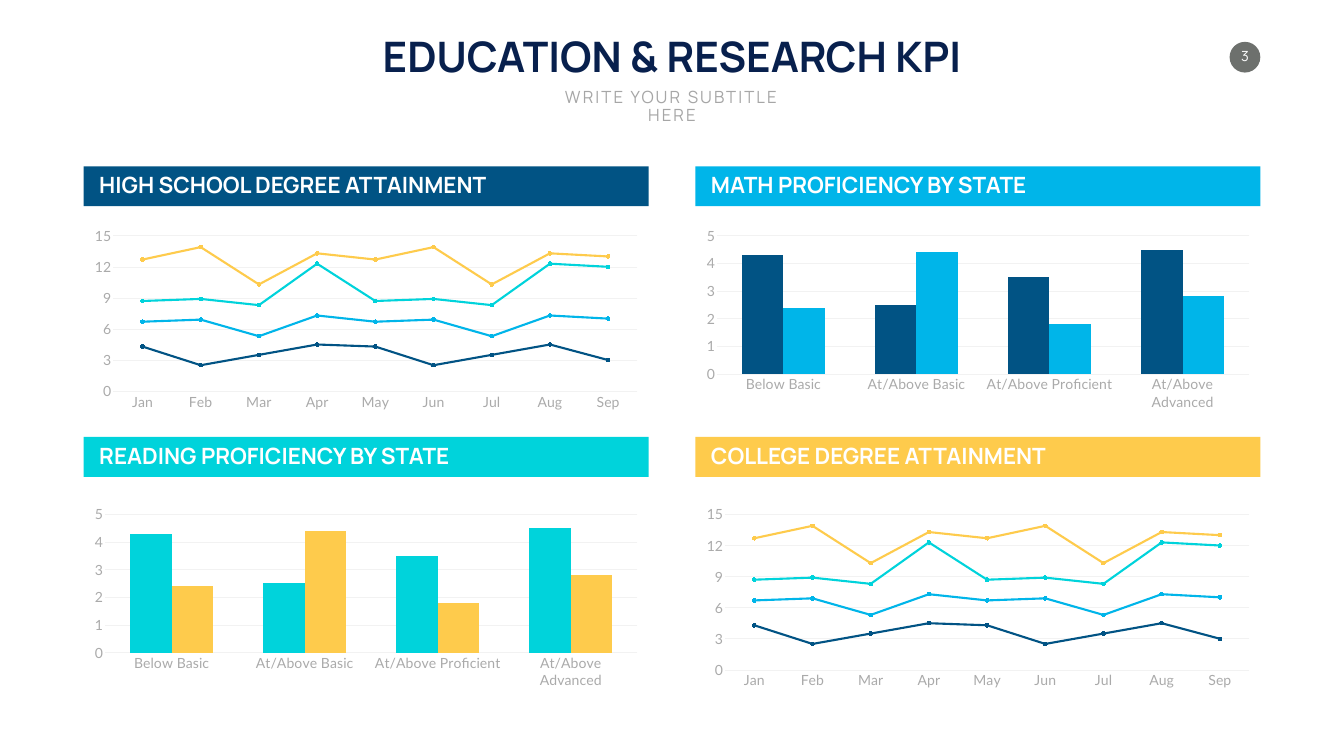
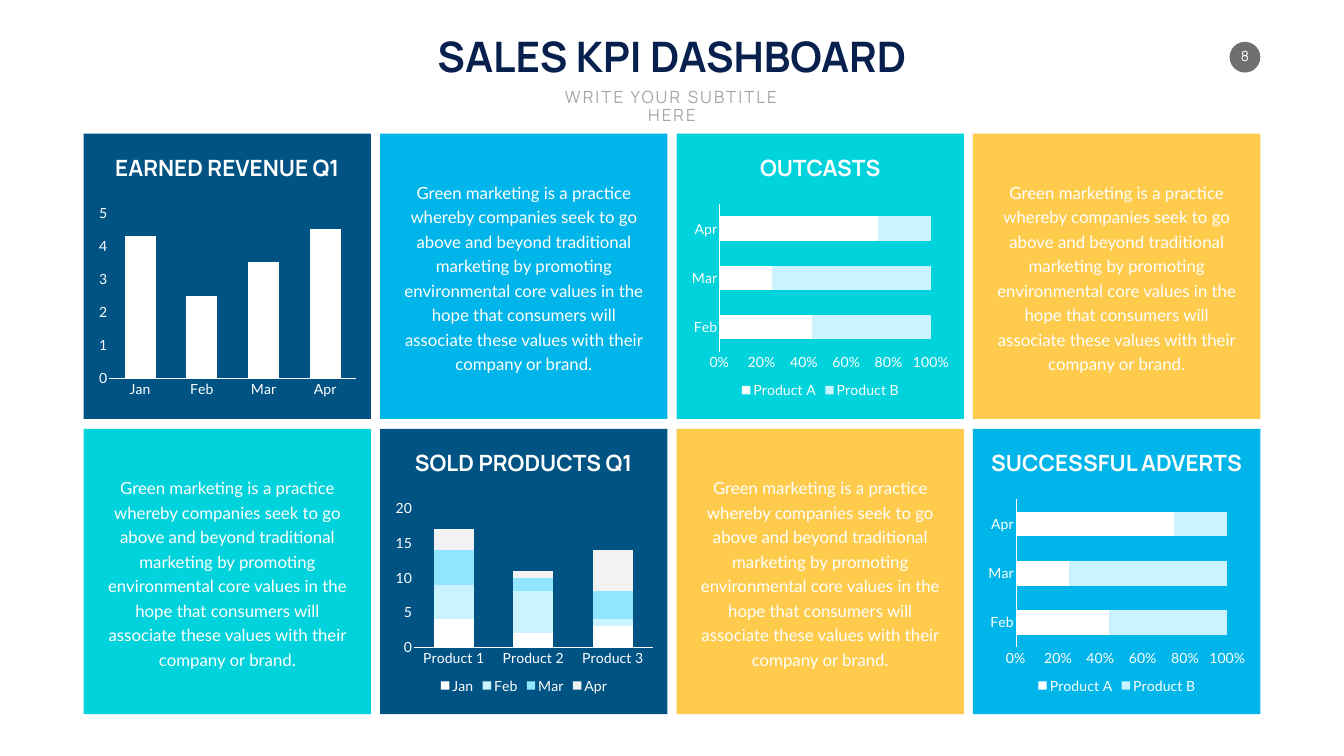
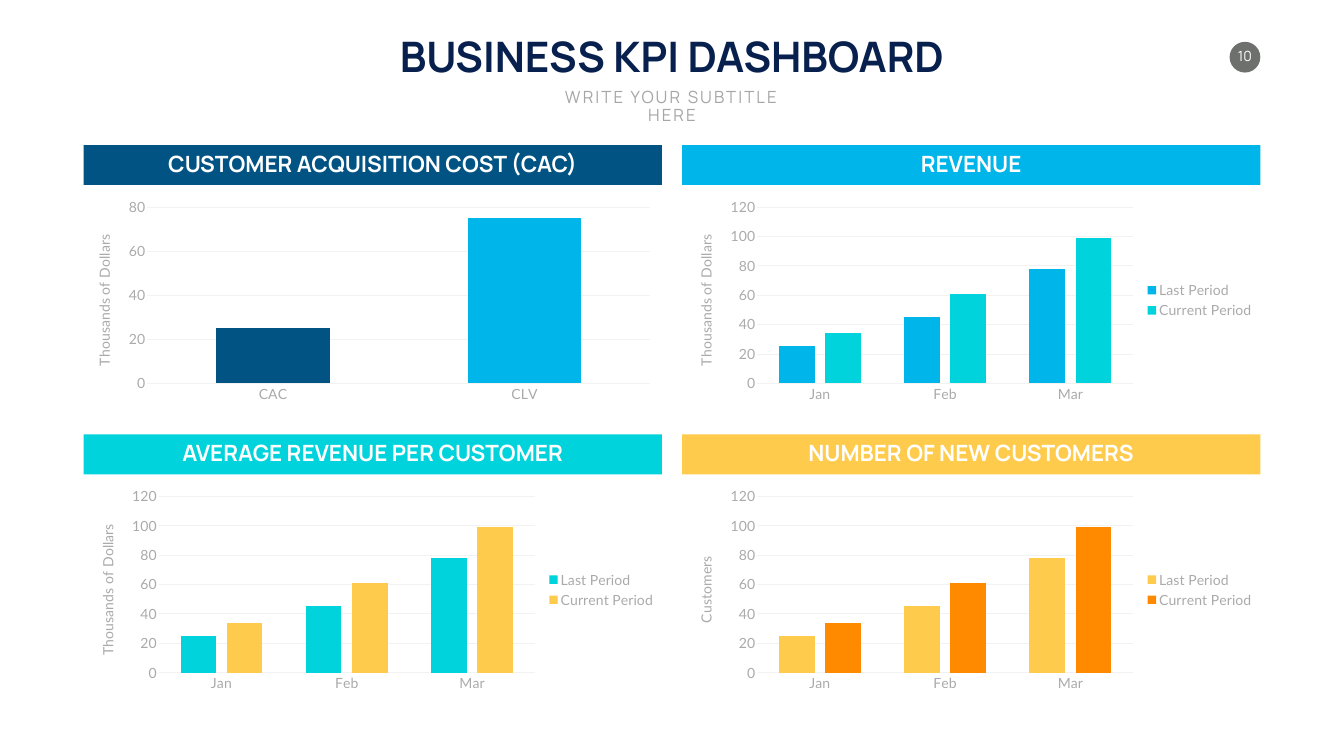
from dataclasses import dataclass

import pptx
import pptx.chart.data
import pptx.dml.color
import pptx.enum.chart
import pptx.enum.shapes
import pptx.enum.text
import pptx.oxml
import pptx.oxml.ns
import pptx.util

SLIDE_W, SLIDE_H = 26.66, 15
MARGIN = 1.66
BAND_H = 0.79
COLORS = {
    "navy": "015384", "sky": "00B5E9", "teal": "00D3DB", "gold": "FECB4C",
    "orange": "FF8A00", "white": "FFFFFF", "ice": "C8F3FF", "pale": "90E6FF",
    "grid": "F2F2F2", "label": "AAAAAA", "subtitle": "A6A6A6",
    "title": "08204D", "badge": "6D706D",
}
HEAD_FONT, BODY_FONT = "Manrope", "Lato"
XL = pptx.enum.chart.XL_CHART_TYPE
LEGEND = pptx.enum.chart.XL_LEGEND_POSITION
ALIGN = pptx.enum.text.PP_ALIGN
ANCHOR = pptx.enum.text.MSO_ANCHOR
SHAPE = pptx.enum.shapes.MSO_SHAPE

MONTHS = ["Jan", "Feb", "Mar", "Apr", "May", "Jun", "Jul", "Aug", "Sep"]
GREEN_MARKETING = (
    "Green marketing is a practice whereby companies seek to go above and beyond "
    "traditional marketing by promoting environmental core values in the hope that "
    "consumers will associate these values with their company or brand.")


@dataclass(frozen=True)
class Box:
    left: float
    top: float
    width: float
    height: float

    def within(self, left, top, width, height):
        """Box placed relative to this one."""
        return Box(self.left + left, self.top + top, width, height)

    def emu(self):
        return [pptx.util.Inches(v) for v in (self.left, self.top, self.width, self.height)]


PAGE = Box(0, 0, SLIDE_W, SLIDE_H)


def grid(cols, col_gap, top, height, row_gap):
    """Two rows of equal cells between the side margins."""
    width = (SLIDE_W - 2 * MARGIN - (cols - 1) * col_gap) / cols
    return [Box(MARGIN + col * (width + col_gap), top + row * (height + row_gap), width, height)
            for row in range(2) for col in range(cols)]


def rgb(name):
    return pptx.dml.color.RGBColor.from_string(COLORS[name])


def set_all(target, **values):
    for name, value in values.items():
        setattr(target, name, value)


def style_font(font, size, color, face, bold=False):
    set_all(font, size=pptx.util.Pt(size), name=face, bold=bold)
    font.color.rgb = rgb(color)


def style_line(line, color, width=0.75):
    line.color.rgb = rgb(color)
    line.width = pptx.util.Pt(width)


def paint(fmt, color):
    fmt.fill.solid()
    fmt.fill.fore_color.rgb = rgb(color)


def write(frame, text, size, color, face=HEAD_FONT, bold=False, align=ALIGN.CENTER,
          anchor=ANCHOR.MIDDLE, spacing=0.9, tracking=None, inset=None):
    set_all(frame, word_wrap=True, auto_size=pptx.enum.text.MSO_AUTO_SIZE.NONE,
            vertical_anchor=anchor)
    if inset is not None:
        set_all(frame, margin_left=inset, margin_right=inset, margin_top=inset,
                margin_bottom=inset)
    paragraph = frame.paragraphs[0]
    set_all(paragraph, alignment=align, line_spacing=spacing, space_before=pptx.util.Pt(0))
    run = paragraph.add_run()
    run.text = text
    style_font(run.font, size, color, face, bold)
    if tracking:
        run.font._element.set("spc", str(tracking * 100))


def add_text(slide, box, text, size, color, **style):
    write(slide.shapes.add_textbox(*box.emu()).text_frame, text, size, color, **style)


def add_block(slide, box, color, preset=SHAPE.RECTANGLE):
    block = slide.shapes.add_shape(preset, *box.emu())
    block.shadow.inherit = False
    paint(block, color)
    block.line.fill.background()


def add_header(prs, title, number):
    """Slide with title, subtitle and page badge."""
    slide = prs.slides.add_slide(prs.slide_layouts[5])
    heading = slide.shapes.title
    title_box = PAGE.within((SLIDE_W - 12.2) / 2, 0.67, 12.2, 1.11)
    set_all(heading, **dict(zip(("left", "top", "width", "height"), title_box.emu())))
    write(heading.text_frame, title, 60, "title", bold=True, anchor=ANCHOR.TOP)
    add_text(slide, PAGE.within((SLIDE_W - 5.43) / 2, 1.72, 5.43, 0.5),
             "WRITE YOUR SUBTITLE HERE", 24, "subtitle", anchor=ANCHOR.TOP, tracking=3)
    badge = PAGE.within(24.39, 0.83, 0.61, 0.61)
    add_block(slide, badge, "badge", SHAPE.OVAL)
    add_text(slide, badge.within(0.1, 0.14, 0.41, 0.34), str(number), 20, "white", inset=0)
    return slide


# Charts

def fix_plot(chart, x, y, w, h):
    """Fix the inner plot area, in shares of the chart."""
    area = chart._chartSpace.chart.plotArea
    for old in area.findall(pptx.oxml.ns.qn("c:layout")):
        area.remove(old)
    shares = "".join(f'<c:{tag} val="{val}"/>' for tag, val in zip("xywh", (x, y, w, h)))
    area.insert(0, pptx.oxml.parse_xml(
        f'<c:layout {pptx.oxml.ns.nsdecls("c")}><c:manualLayout>'
        '<c:layoutTarget val="inner"/><c:xMode val="edge"/><c:yMode val="edge"/>'
        f'{shares}</c:manualLayout></c:layout>'))


def style_axes(chart, axis_color, gridlines, top, step, axis_title, percent):
    category, value = chart.category_axis, chart.value_axis
    for axis in (category, value):
        set_all(axis, major_tick_mark=pptx.enum.chart.XL_TICK_MARK.NONE,
                minor_tick_mark=pptx.enum.chart.XL_TICK_MARK.NONE, has_major_gridlines=False)
    style_line(category.format.line, axis_color)
    value.format.line.fill.background()
    set_all(value, minimum_scale=0, maximum_scale=top, major_unit=step,
            has_major_gridlines=gridlines)
    if gridlines:
        style_line(value.major_gridlines.format.line, "grid")
    if percent:
        set_all(value.tick_labels, number_format="0%", number_format_is_linked=False)
    if axis_title:
        frame = value.axis_title.text_frame
        frame.text = axis_title
        style_font(frame.paragraphs[0].runs[0].font, 20, "label", BODY_FONT)


def add_chart(slide, box, kind, categories, series, top, step, gap=122, overlap=None,
              legend=None, axis_title=None, text="label", plot_area=None, points=()):
    """Draw a chart; series holds (name, values, color) triples."""
    data = pptx.chart.data.CategoryChartData()
    data.categories = categories
    for name, values, _ in series:
        data.add_series(name, values)
    chart = slide.shapes.add_chart(kind, *box.emu(), data).chart
    set_all(chart, has_title=False, has_legend=legend is not None)
    style_font(chart.font, 20, text, BODY_FONT)
    if legend is not None:
        set_all(chart.legend, position=legend, include_in_layout=False)
        style_font(chart.legend.font, 20, text, BODY_FONT)
    on_card = text == "white"
    style_axes(chart, "white" if on_card else "grid", not on_card, top, step, axis_title,
               kind == XL.BAR_STACKED_100)

    plot = chart.plots[0]
    plot.vary_by_categories = False
    is_line = kind == XL.LINE_MARKERS_STACKED
    if not is_line:
        plot.gap_width = gap
        if overlap is not None:
            plot.overlap = overlap
    for drawn, (_, _, color) in zip(plot.series, series):
        if is_line:
            drawn.smooth = False
            style_line(drawn.format.line, color, 3)
            set_all(drawn.marker, style=pptx.enum.chart.XL_MARKER_STYLE.CIRCLE, size=5)
            paint(drawn.marker.format, color)
            style_line(drawn.marker.format.line, color)
        else:
            paint(drawn.format, color)
    for index, color in points:
        paint(plot.series[0].points[index].format, color)
    if plot_area:
        fix_plot(chart, *plot_area)


# Panels and cards

def add_panel(slide, box, title, color, chart_top, chart_height, chart, align=ALIGN.CENTER):
    """Colored band with its heading and a chart below."""
    add_block(slide, box.within(0, 0, box.width, BAND_H), color)
    add_text(slide, box.within(0.21, 0.08, box.width - 0.42, 0.64), title, 32, "white",
             bold=True, align=align)
    add_chart(slide, box.within(0, chart_top, box.width, chart_height), **chart)


def add_text_card(slide, box, color):
    add_block(slide, box, color)
    add_text(slide, box.within(0.38, 0.84, box.width - 0.76, 3.98), GREEN_MARKETING, 24, "white",
             face=BODY_FONT, spacing=pptx.util.Pt(35))


def add_chart_card(slide, box, color, title, chart):
    add_block(slide, box, color)
    add_chart(slide, box.within(0.2, 1.32, box.width - 0.39, 4), text="white", gap=100, **chart)
    add_text(slide, box.within(0.1, 0.38, box.width - 0.2, 0.64), title, 32, "white", bold=True)


# Slides

def education_slide(prs):
    slide = add_header(prs, "EDUCATION & RESEARCH KPI", 3)
    first, second = [4.3, 2.5, 3.5, 4.5], [2.4, 4.4, 1.8, 2.8]
    attainment = dict(
        kind=XL.LINE_MARKERS_STACKED, categories=MONTHS, top=15, step=3,
        series=[("Series 1", first * 2 + [3], "navy"),
                ("Series 2", second * 2 + [4], "sky"),
                ("Series 3", [2, 2, 3, 5, 2, 2, 3, 5, 5], "teal"),
                ("Series 4", [4, 5, 2, 1, 4, 5, 2, 1, 1], "gold")])

    def proficiency(*colors):
        levels = ["Below Basic", "At/Above Basic", "At/Above Proficient", "At/Above Advanced"]
        return dict(kind=XL.COLUMN_CLUSTERED, categories=levels, top=5, step=1,
                    series=list(zip(("Series 1", "Series 2"), (first, second), colors)))

    panels = [
        ("HIGH SCHOOL DEGREE ATTAINMENT", "navy", 1.13, attainment),
        ("MATH PROFICIENCY BY STATE", "sky", 1.13, proficiency("navy", "sky")),
        ("READING PROFICIENCY BY STATE", "teal", 1.29, proficiency("teal", "gold")),
        ("COLLEGE DEGREE ATTAINMENT", "gold", 1.29, attainment),
    ]
    for box, (title, color, chart_top, chart) in zip(grid(2, 0.93, 3.3, 4.92, 0.45), panels):
        add_panel(slide, box, title, color, chart_top, 3.79, chart, ALIGN.LEFT)


def sales_slide(prs):
    slide = add_header(prs, "SALES KPI DASHBOARD", 8)
    revenue = dict(kind=XL.COLUMN_CLUSTERED, categories=MONTHS[:4], top=5, step=1, overlap=-27,
                   series=[("Series 1", [4.3, 2.5, 3.5, 4.5], "white")])
    sold = dict(kind=XL.COLUMN_STACKED, categories=["Product 1", "Product 2", "Product 3"],
                top=20, step=5, overlap=100, legend=LEGEND.BOTTOM,
                series=[("Jan", [4, 2, 3], "white"), ("Feb", [5, 6, 1], "ice"),
                        ("Mar", [5, 2, 4], "pale"), ("Apr", [3, 1, 6], "grid")])
    shares = dict(kind=XL.BAR_STACKED_100, categories=MONTHS[1:4], top=None, step=0.2,
                  overlap=100, legend=LEGEND.BOTTOM,
                  series=[("Product A", [44, 25, 75], "white"),
                          ("Product B", [56, 75, 25], "ice")])
    cards = [
        ("navy", "EARNED REVENUE Q1", revenue), ("sky", None, None),
        ("teal", "OUTCASTS", shares), ("gold", None, None),
        ("teal", None, None), ("navy", "SOLD PRODUCTS Q1", sold),
        ("gold", None, None), ("sky", "SUCCESSFUL ADVERTS", shares),
    ]
    for box, (color, title, chart) in zip(grid(4, 0.18, 2.65, 5.66, 0.2), cards):
        if chart:
            add_chart_card(slide, box, color, title, chart)
        else:
            add_text_card(slide, box, color)


def business_slide(prs):
    slide = add_header(prs, "BUSINESS KPI DASHBOARD", 10)
    dollars = "Thousands of Dollars"
    cost = dict(kind=XL.COLUMN_CLUSTERED, categories=["CAC", "CLV"], top=80, step=20,
                series=[("Series 1", [25, 75], "navy")], points=[(1, "sky")],
                axis_title=dollars, plot_area=(0.11, 0.06, 0.87, 0.83))

    def periods(last, current, axis_title):
        return dict(kind=XL.COLUMN_CLUSTERED, categories=MONTHS[:3], top=120, step=20,
                    overlap=-30, legend=LEGEND.RIGHT, axis_title=axis_title,
                    plot_area=(0.13, 0.06, 0.65, 0.83),
                    series=[("Last Period", [25, 45, 78], last),
                            ("Current Period", [34, 61, 99], current)])

    panels = [
        ("CUSTOMER ACQUISITION COST (CAC)", "navy", cost),
        ("REVENUE", "sky", periods("sky", "teal", dollars)),
        ("AVERAGE REVENUE PER CUSTOMER", "teal", periods("teal", "gold", dollars)),
        ("NUMBER OF NEW CUSTOMERS", "gold", periods("gold", "orange", "Customers")),
    ]
    for box, (title, color, chart) in zip(grid(2, 0.4, 2.88, 5.19, 0.55), panels):
        add_panel(slide, box, title, color, 0.97, 4.22, chart)


def main():
    prs = pptx.Presentation()
    set_all(prs, slide_width=pptx.util.Inches(SLIDE_W), slide_height=pptx.util.Inches(SLIDE_H))
    for build in (education_slide, sales_slide, business_slide):
        build(prs)
    prs.save("out.pptx")


if __name__ == "__main__":
    main()
